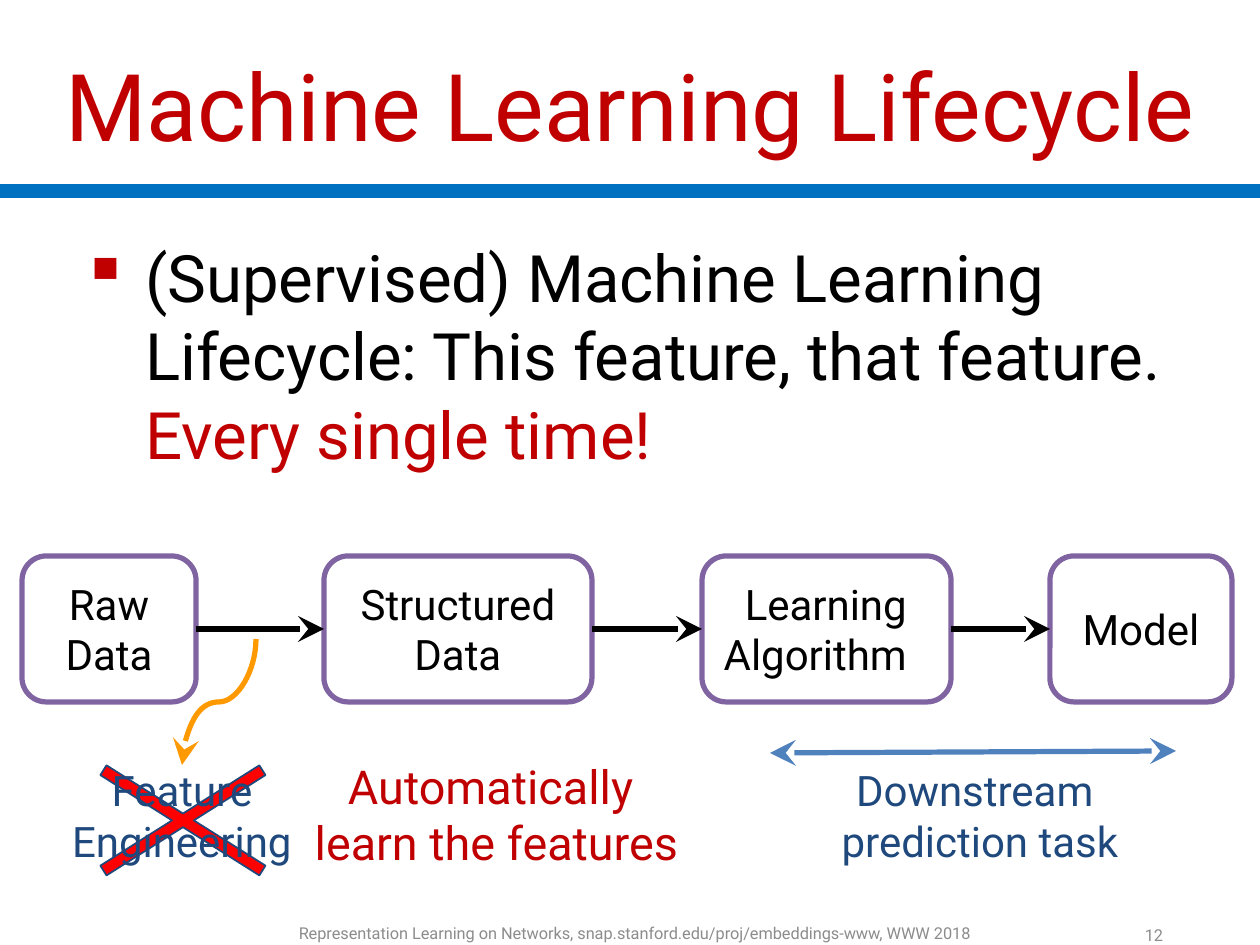
from lxml import etree
from pptx import Presentation
from pptx.dml.color import RGBColor
from pptx.enum.shapes import MSO_CONNECTOR, MSO_SHAPE
from pptx.enum.text import MSO_ANCHOR, PP_ALIGN
from pptx.oxml.ns import qn
from pptx.util import Emu, Pt

STRAIGHT, CURVE = MSO_CONNECTOR.STRAIGHT, MSO_CONNECTOR.CURVE
ROUNDED, CROSS = MSO_SHAPE.ROUNDED_RECTANGLE, MSO_SHAPE.MATH_MULTIPLY
TOP, MIDDLE = MSO_ANCHOR.TOP, MSO_ANCHOR.MIDDLE
LEFT, CENTER, RIGHT = PP_ALIGN.LEFT, PP_ALIGN.CENTER, PP_ALIGN.RIGHT

RED = RGBColor(0xC0, 0x00, 0x00)
BLUE = RGBColor(0x00, 0x70, 0xC0)
STEEL = RGBColor(0x4F, 0x81, 0xBD)
NAVY = RGBColor(0x1F, 0x49, 0x7D)
PURPLE = RGBColor(0x80, 0x64, 0xA2)
ORANGE = RGBColor(0xFF, 0x99, 0x00)
BRIGHT_RED = RGBColor(0xFF, 0x00, 0x00)
BLACK = RGBColor(0x00, 0x00, 0x00)
GREY = RGBColor(0x8C, 0x8C, 0x8C)

FONT = "Roboto"
PX_PER_INCH = 168


def px(n):
    """Convert whole pixels to EMU."""
    return Emu(round(n * 914400 / PX_PER_INCH))


def style_font(font, size, color):
    """Set typeface, size and colour."""
    font.name, font.size = FONT, Pt(size)
    font.color.rgb = color


def write(tf, text, size, color, align=CENTER, anchor=TOP, inset=12):
    """Fill a text frame with one formatted paragraph."""
    tf.word_wrap = True
    tf.vertical_anchor = anchor
    tf.margin_left = tf.margin_right = px(inset)
    tf.margin_top = tf.margin_bottom = px(inset)
    p = tf.paragraphs[0]
    p.text = text
    p.alignment = align
    for r in p.runs:
        style_font(r.font, size, color)


def add_label(s, box, text, size, color, **options):
    """Add a text box and return its text frame."""
    tf = s.shapes.add_textbox(*map(px, box)).text_frame
    write(tf, text, size, color, **options)
    return tf


def add_line(s, kind, ends, color, width=2.25, heads=()):
    """Add a connector with large stealth arrowheads at the named ends."""
    line = s.shapes.add_connector(kind, *map(px, ends))
    line.line.color.rgb = color
    line.line.width = Pt(width)
    ln = line.line._get_or_add_ln()
    for head in heads:
        etree.SubElement(ln, qn(f"a:{head}"), type="stealth", w="lg", len="lg")
    etree.SubElement(line.element.spPr, qn("a:effectLst"))
    return line


def header(s, x, y, w, h):
    """Place the title and the rule below it."""
    add_line(s, STRAIGHT, (x, y + h + 8, x + w, y + h + 8), BLUE, 6)
    title = s.shapes.title
    title.left, title.top, title.width, title.height = map(px, (x, y, w, h))
    write(title.text_frame, "Machine Learning Lifecycle", 40, RED, anchor=MIDDLE)


def statement(s, x, y, w, h):
    """Place the bulleted statement with its red ending."""
    text = "(Supervised) Machine Learning Lifecycle: This feature, that feature. "
    tf = add_label(s, (x, y, w, h), text, 28, BLACK, align=LEFT, inset=17)
    p = tf.paragraphs[0]
    pPr = p._p.get_or_add_pPr()
    pPr.set("marL", str(px(64)))
    pPr.set("indent", str(px(-64)))
    bullet_color = etree.SubElement(pPr, qn("a:buClr"))
    etree.SubElement(bullet_color, qn("a:srgbClr"), val=str(RED))
    etree.SubElement(pPr, qn("a:buChar"), char="▪")
    r = p.add_run()
    r.text = "Every single time!"
    style_font(r.font, 28, RED)


def pipeline(s, x, y, h):
    """Place the four stages and join neighbours with arrows."""
    stages = []
    for dx, w, text in (
        (0, 174, "Raw\vData"),
        (302, 268, "Structured\vData"),
        (680, 249, "Learning\vAlgorithm"),
        (1028, 182, "Model"),
    ):
        stage = s.shapes.add_shape(ROUNDED, *map(px, (x + dx, y, w, h)))
        stage.shadow.inherit = False
        stage.fill.background()
        stage.line.color.rgb = PURPLE
        stage.line.width = Pt(2.25)
        write(stage.text_frame, text, 18, BLACK, anchor=MIDDLE)
        stages.append(stage)
    algorithm = stages[2].text_frame
    algorithm.paragraphs[0].alignment = RIGHT
    algorithm.margin_left, algorithm.margin_right = 0, px(37)
    for before, after in zip(stages, stages[1:]):
        arrow = add_line(s, STRAIGHT, (0, 0, 0, 0), BLACK, heads=("tailEnd",))
        arrow.begin_connect(before, 3)
        arrow.end_connect(after, 1)


def crossed_out_step(s, x, y):
    """Place the crossed-out manual step and the curve leading to it."""
    curve = add_line(s, CURVE, (x + 101, y - 88, x + 227, y - 14), ORANGE,
                     heads=("tailEnd",))
    curve.element.spPr.find(qn("a:xfrm")).set("rot", "5400000")
    cross = s.shapes.add_shape(CROSS, *map(px, (x - 25, y - 29, 306, 193)))
    cross.adjustments[0] = 0.06
    cross.shadow.inherit = False
    cross.fill.solid()
    cross.fill.fore_color.rgb = BRIGHT_RED
    cross.line.color.rgb = NAVY
    cross.line.width = Pt(0.75)
    add_label(s, (x, y, 254, 146), "Feature\vEngineering", 18, NAVY)


def downstream(s, x, y, w, h):
    """Place the double arrow and the task label below it."""
    add_line(s, STRAIGHT, (x + 14, y, x + 420, y - 2), STEEL,
             heads=("headEnd", "tailEnd"))
    add_label(s, (x, y, w, h), "Downstream \vprediction task", 18, NAVY)


def footer(s, x, y, w, h):
    """Place the source line and the slide number."""
    credit = "Representation Learning on Networks, snap.stanford.edu/proj/embeddings-www, WWW 2018"
    add_label(s, (x, y, w, h), credit, 7, GREY, anchor=MIDDLE, inset=0)
    add_label(s, (x + 797, y + 2, 175, h), "12", 7, GREY,
              align=RIGHT, anchor=MIDDLE, inset=17)


def main():
    """Build and save the slide."""
    prs = Presentation()
    prs.slide_width, prs.slide_height = px(1260), px(945)
    s = prs.slides.add_slide(prs.slide_layouts[5])
    header(s, 0, 25, 1260, 158)
    statement(s, 64, 220, 1134, 294)
    pipeline(s, 22, 556, 146)
    crossed_out_step(s, 55, 753)
    add_label(s, (279, 746, 435, 146), "Automatically \vlearn the features", 20, RED)
    downstream(s, 756, 753, 448, 146)
    footer(s, 208, 921, 853, 25)
    prs.save("out.pptx")


if __name__ == "__main__":
    main()
